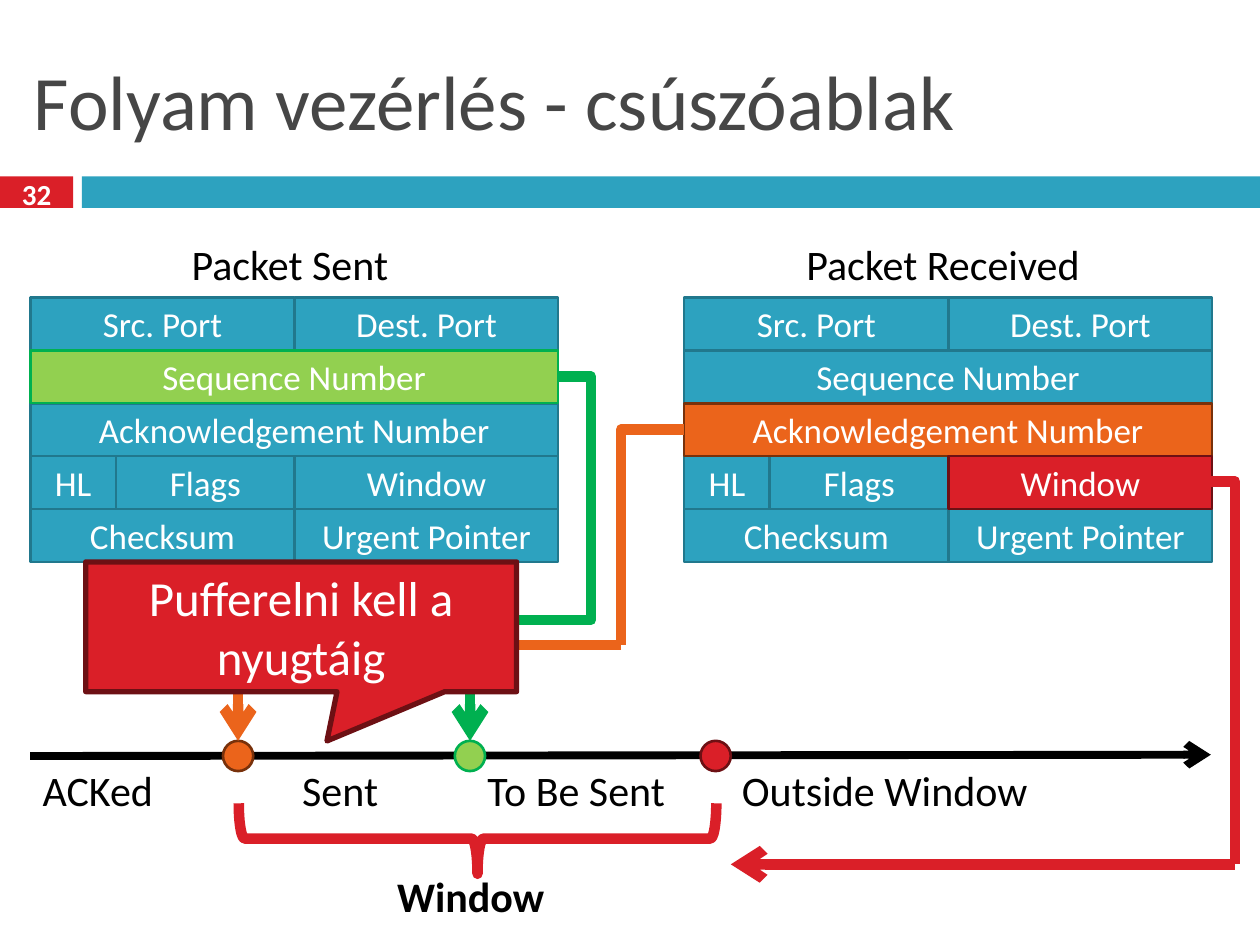
"""Build the sliding window flow control slide."""
import pptx
import pptx.util
import pptx.dml.color
import pptx.enum.shapes
import pptx.enum.text
import pptx.oxml
import pptx.oxml.ns

Inches = pptx.util.Inches
Kind = pptx.enum.shapes.MSO_SHAPE
Link = pptx.enum.shapes.MSO_CONNECTOR
Align = pptx.enum.text.PP_ALIGN
Anchor = pptx.enum.text.MSO_ANCHOR
hue = pptx.dml.color.RGBColor.from_string
qn = pptx.oxml.ns.qn

BLUE, NAVY = "2DA2BF", "21788D"
RED, WINE = "DA1F28", "6D1014"
AMBER, BROWN = "EB641B", "78310B"
LIME, GREEN = "92D050", "00B050"
BLACK, WHITE = "000000", "FFFFFF"

deck = pptx.Presentation()
deck.slide_width, deck.slide_height = Inches(10), Inches(7.5)
slide = deck.slides.add_slide(deck.slide_layouts[6])


def draw(kind, box, fill=None, line=None, width=1.5, text="", size=20,
         color=WHITE, bold=False, align=Align.CENTER, wrap=True, anchor=Anchor.MIDDLE):
    place = [Inches(n) for n in box]
    if kind is None:
        item = slide.shapes.add_textbox(*place)
    else:
        item = slide.shapes.add_shape(kind, *place)
        item.shadow.inherit = False
        if fill:
            item.fill.solid()
            item.fill.fore_color.rgb = hue(fill)
        else:
            item.fill.background()
        if line:
            item.line.color.rgb = hue(line)
            item.line.width = pptx.util.Pt(width)
        else:
            item.line.fill.background()
    if text:
        frame = item.text_frame
        frame.word_wrap = wrap
        frame.vertical_anchor = anchor
        para = frame.paragraphs[0]
        para.alignment = align
        run = para.add_run()
        run.text = text
        run.font.name = "Calibri"
        run.font.size = pptx.util.Pt(size)
        run.font.bold = bold
        run.font.color.rgb = hue(color)
    return item


def wire(preset, ends, color, width=6, arrow=False, turn=0):
    kind = Link.STRAIGHT if preset == "line" else Link.ELBOW
    item = slide.shapes.add_connector(kind, *[Inches(n) for n in ends])
    item.line.color.rgb = hue(color)
    item.line.width = pptx.util.Pt(width)
    prop = item._element.spPr
    prop.find(qn("a:prstGeom")).set("prst", preset)
    if turn:
        prop.find(qn("a:xfrm")).set("rot", str(turn * 60000))
    space = 'xmlns:a="http://schemas.openxmlformats.org/drawingml/2006/main"'
    if arrow:
        tail = pptx.oxml.parse_xml(f'<a:tailEnd {space} type="arrow"/>')
        prop.find(qn("a:ln")).append(tail)
    prop.append(pptx.oxml.parse_xml(f"<a:effectLst {space}/>"))


draw(Kind.RECTANGLE, (0, 1.4, 0.58, 0.25), RED)
draw(Kind.RECTANGLE, (0.65, 1.4, 9.35, 0.25), BLUE)
draw(None, (0.17, 0.25, 9.67, 1.08), text="Folyam vezérlés - csúszóablak",
     size=44, color="464646", align=Align.LEFT)
draw(None, (0, 1.37, 0.58, 0.33), text="32", size=16.6, bold=True)

fields = [
    ("Src. Port", 0, 0, 2.1), ("Dest. Port", 0, 2.1, 2.09),
    ("Sequence Number", 1, 0, 4.19),
    ("Acknowledgement Number", 2, 0, 4.19),
    ("HL", 3, 0, 0.68), ("Flags", 3, 0.68, 1.42), ("Window", 3, 2.1, 2.09),
    ("Checksum", 4, 0, 2.1), ("Urgent Pointer", 4, 2.1, 2.09),
]
packets = [
    (0.24, {"Sequence Number": (LIME, GREEN)}),
    (5.43, {"Acknowledgement Number": (AMBER, BROWN), "Window": (RED, WINE)}),
]
row = 0.42
for left, marks in packets:
    for name, rank, shift, wide in sorted(fields, key=lambda field: field[0] in marks):
        fill, line = marks.get(name, (BLUE, NAVY))
        draw(Kind.RECTANGLE, (left + shift, 2.36 + rank * row, wide, row), fill, line, text=name)

wire("line", (0.24, 6, 9.61, 5.99), BLACK, 4.5, True)

labels = [
    ("Packet Sent", 1.29, 1.84, 2.02, Align.CENTER, False),
    ("Packet Received", 6.12, 1.84, 2.73, Align.CENTER, False),
    ("ACKed", 0.24, 6.02, 1.27, Align.LEFT, False),
    ("Sent", 2.3, 6.02, 0.89, Align.LEFT, False),
    ("To Be Sent", 3.77, 6.02, 1.85, Align.LEFT, False),
    ("Outside Window", 5.79, 6.02, 2.65, Align.LEFT, False),
    ("Window", 2.99, 6.86, 1.49, Align.CENTER, True),
]
for name, left, top, wide, align, bold in labels:
    draw(None, (left, top, wide, 0.5), text=name, size=24, color=BLACK,
         bold=bold, align=align, wrap=False, anchor=Anchor.TOP)

for left, fill, line in [(1.77, AMBER, BROWN), (3.61, LIME, GREEN), (5.56, RED, WINE)]:
    draw(Kind.OVAL, (left, 5.88, 0.24, 0.24), fill, line)

wire("bentConnector2", (5.43, 3.41, 4.93, 5.12), AMBER)
wire("bentConnector2", (4.93, 5.12, 1.89, 5.88), AMBER, arrow=True)
wire("bentConnector2", (4.43, 2.99, 4.69, 3.96), GREEN)
wire("bentConnector3", (3.25, 4.44, 5.17, 5.4), GREEN, arrow=True, turn=90)
wire("bentConnector2", (9.61, 3.82, 9.8, 6.86), RED)
wire("line", (9.8, 6.86, 5.8, 6.86), RED, arrow=True)

brace = draw(Kind.LEFT_BRACE, (3.51, 4.76, 0.56, 3.79), line=RED, width=6)
brace.rotation = 270

note = draw(Kind.RECTANGULAR_CALLOUT, (0.68, 4.46, 3.42, 1.03), RED, WINE, 3,
            "Pufferelni kell a nyugtáig", 28)
note.adjustments[0] = 0.06
note.adjustments[1] = 0.88

deck.save("out.pptx")
